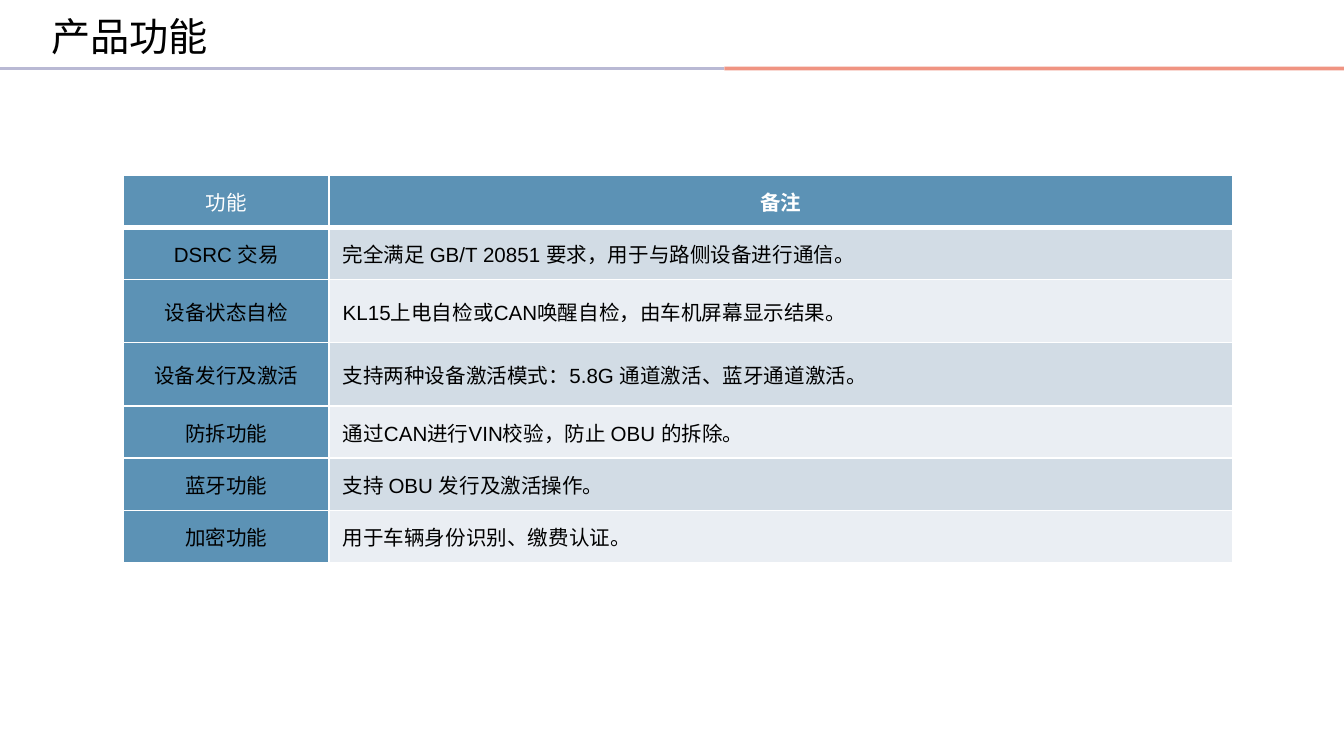
from lxml.etree import SubElement
from pptx import Presentation
from pptx.dml.color import RGBColor
from pptx.enum.shapes import MSO_CONNECTOR
from pptx.enum.text import MSO_ANCHOR as Anchor, PP_ALIGN as Align
from pptx.oxml.ns import qn
from pptx.util import Inches, Pt

COLORS = {
    "ink": "000000",
    "white": "FFFFFF",
    "lilac": "B9B9D4",
    "coral": "EB674D",
    "blue": "5C92B5",
    "band_dark": "D2DCE5",
    "band_light": "EAEEF3",
}

ROWS = [
    ("功能", "备注"),
    ("DSRC 交易", "完全满足 GB/T 20851 要求，用于与路侧设备进行通信。"),
    ("设备状态自检", "KL15上电自检或CAN唤醒自检，由车机屏幕显示结果。"),
    ("设备发行及激活", "支持两种设备激活模式：5.8G 通道激活、蓝牙通道激活。"),
    ("防拆功能", "通过CAN进行VIN校验，防止 OBU 的拆除。"),
    ("蓝牙功能", "支持 OBU 发行及激活操作。"),
    ("加密功能", "用于车辆身份识别、缴费认证。"),
]
COL_WIDTHS = [1.53, 6.72]
ROW_HEIGHTS = [0.39, 0.39, 0.47, 0.47, 0.39, 0.39, 0.39]


def rgb(name):
    return RGBColor.from_string(COLORS[name])


def write(tf, text, size=11, color="ink", bold=False, align=Align.LEFT):
    p = tf.paragraphs[0]
    p.alignment = align
    r = p.add_run()
    r.text = text
    r.font.name = "Arial"
    r.font.size = Pt(size)
    r.font.bold = bold
    r.font.color.rgb = rgb(color)


class SlideBuilder:
    def __init__(self, slide):
        self.slide = slide

    def title(self, text, left, top, width, height):
        sp = self.slide.shapes.title
        sp.left, sp.top = Inches(left), Inches(top)
        sp.width, sp.height = Inches(width), Inches(height)
        tf = sp.text_frame
        tf.word_wrap = True
        tf.vertical_anchor = Anchor.TOP
        tf.margin_left = tf.margin_right = Inches(0.07)
        tf.margin_top = tf.margin_bottom = Inches(0.04)
        write(tf, text, size=21)

    def rule(self, x1, x2, y, color, opacity=100):
        line = self.slide.shapes.add_connector(
            MSO_CONNECTOR.STRAIGHT, Inches(x1), Inches(y), Inches(x2), Inches(y))
        line.line.width = Pt(2)
        line.line.color.rgb = rgb(color)
        sp_pr = line._element.spPr
        if opacity < 100:
            clr = sp_pr.find(".//" + qn("a:srgbClr"))
            SubElement(clr, qn("a:alpha"), val=str(opacity * 1000))
        SubElement(sp_pr, qn("a:effectLst"))

    def borders(self, cell, **widths):
        tc_pr = cell._tc.get_or_add_tcPr()
        for i, side in enumerate("LRTB"):
            width = Pt(widths.get(side, 1))
            ln = tc_pr.makeelement(qn(f"a:ln{side}"), {"w": str(width)})
            fill = SubElement(ln, qn("a:solidFill"))
            SubElement(fill, qn("a:srgbClr"), val=COLORS["white"])
            tc_pr.insert(i, ln)

    def table(self, rows, left, top, col_widths, row_heights):
        frame = self.slide.shapes.add_table(
            len(rows), len(col_widths), Inches(left), Inches(top),
            Inches(sum(col_widths)), Inches(sum(row_heights)))
        table = frame.table
        table.first_row = table.horz_banding = False
        for col, width in zip(table.columns, col_widths):
            col.width = Inches(width)
        for row, height in zip(table.rows, row_heights):
            row.height = Inches(height)
        for i, texts in enumerate(rows):
            header = i == 0
            band = "band_dark" if i % 2 else "band_light"
            for j, text in enumerate(texts):
                label = header or j == 0
                cell = table.cell(i, j)
                cell.vertical_anchor = Anchor.MIDDLE
                cell.fill.solid()
                cell.fill.fore_color.rgb = rgb("blue" if label else band)
                self.borders(cell, T=3 if i == 1 else 1, B=3 if header else 1)
                write(cell.text_frame, text,
                      color="white" if header else "ink",
                      bold=header and j == 1,
                      align=Align.CENTER if label else Align.LEFT)


def main():
    prs = Presentation()
    prs.slide_width = Inches(10)
    prs.slide_height = prs.slide_width * 9 // 16
    s = SlideBuilder(prs.slides.add_slide(prs.slide_layouts[5]))
    s.rule(0, 5.39, 0.51, "lilac")
    s.rule(5.39, 10, 0.51, "coral", opacity=70)
    s.title("产品功能", 0.31, 0.05, 3.5, 0.43)
    s.table(ROWS, 0.92, 1.3, COL_WIDTHS, ROW_HEIGHTS)
    prs.save("out.pptx")


if __name__ == "__main__":
    main()
